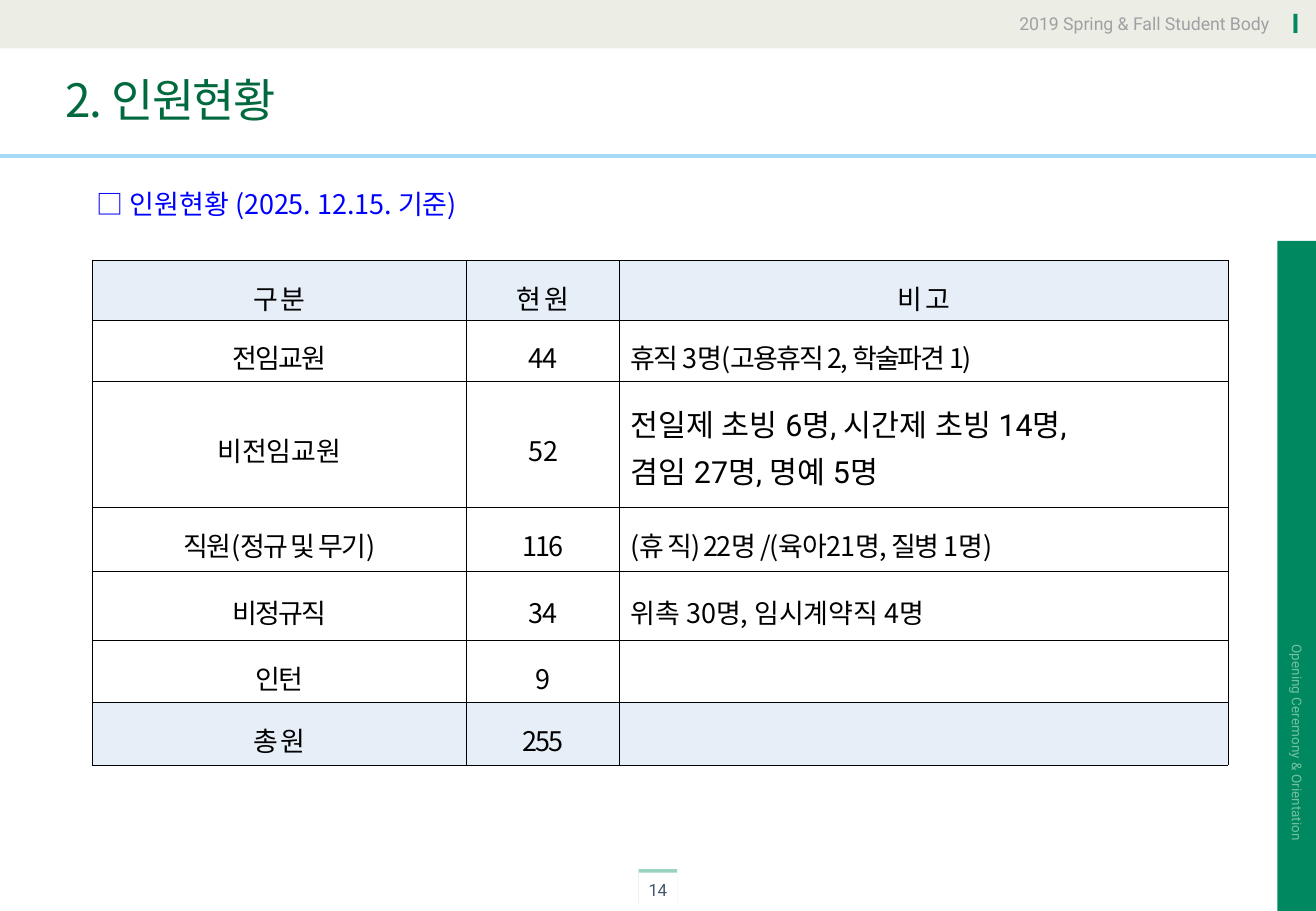
from lxml import etree
from pptx import Presentation
from pptx.dml.color import RGBColor
from pptx.enum.shapes import MSO_CONNECTOR, MSO_SHAPE
from pptx.enum.text import MSO_ANCHOR, PP_ALIGN
from pptx.oxml.ns import qn
from pptx.util import Emu, Pt

LEFT, CENTER, RIGHT = PP_ALIGN.LEFT, PP_ALIGN.CENTER, PP_ALIGN.RIGHT
TOP, MIDDLE = MSO_ANCHOR.TOP, MSO_ANCHOR.MIDDLE
RECTANGLE, STRAIGHT = MSO_SHAPE.RECTANGLE, MSO_CONNECTOR.STRAIGHT
EMU_PER_PX = 7620  # 120 px to the inch
TITLE_ONLY = 5
KOREAN, LATIN = "Noto Sans CJK KR", "Roboto"
GREEN, BLACK, SHADED = "008860", "000000", "E6EEF7"

HEADERS = ["구 분", "현 원", "비 고"]
COLUMN_WIDTHS = [370, 151, 601]
ROW_HEIGHTS = [59, 61, 124, 63, 69, 61, 62]
# Each cell: text and letter spacing in points
STAFF_ROWS = [
    [(header, -1) for header in HEADERS],
    [("전임교원", -1), ("44", -1), ("휴직 3명(고용휴직 2, 학술파견 1)", -1.2)],
    [("비전임교원", 0), ("52", 0),
     ("전일제 초빙 6명, 시간제 초빙 14명,\n겸임 27명, 명예 5명", 0)],
    [("직원(정규 및 무기)", -1), ("116", -1),
     ("(휴 직) 22명 /(육아21명, 질병 1명)", -1)],
    [("비정규직", -1), ("34", -1), ("위촉 30명, 임시계약직 4명", 0)],
    [("인턴", -1), ("9", 0), ("", 0)],
    [("총 원", -1), ("255", -1), ("", 0)],
]


def px(length):
    return Emu(length * EMU_PER_PX)


def color(hex_text):
    return RGBColor.from_string(hex_text)


def add_xml(parent, tag, **attributes):
    element = etree.SubElement(parent, qn(tag))
    for name, value in attributes.items():
        element.set(name, str(value))
    return element


class SlideBuilder:
    def __init__(self, deck):
        self.page = deck.slides.add_slide(deck.slide_layouts[TITLE_ONLY])
        self.shapes = self.page.shapes

    def fill_text(self, frame, text, size, ink, font=KOREAN, align=LEFT,
                  spacing=0, line_spacing=None, bold=False):
        """Fill a text frame, one paragraph per line of text."""
        frame.text = text
        for para in frame.paragraphs:
            para.alignment = align
            if line_spacing:
                para.line_spacing = line_spacing
            para.font.size = Pt(size)
            para.font.bold = bold
            para.font.name = font
            para.font.color.rgb = color(ink)
            defaults = para._p.pPr.find(qn("a:defRPr"))
            defaults.set("spc", str(round(spacing * 100)))
            add_xml(defaults, "a:ea", typeface=font)

    def frame_setup(self, frame, anchor, inset=(12, 6), wrap=False):
        frame.word_wrap = wrap
        frame.vertical_anchor = anchor
        frame.margin_left = frame.margin_right = px(inset[0])
        frame.margin_top = frame.margin_bottom = px(inset[1])

    def title(self, text, left, top, width, height):
        box = self.shapes.title
        box.left, box.top, box.width, box.height = map(px, (left, top, width, height))
        self.frame_setup(box.text_frame, MIDDLE, wrap=True)
        self.fill_text(box.text_frame, text, 27.2, "00693E", spacing=-0.9,
                       line_spacing=0.9)

    def rect(self, left, top, width, height, fill):
        box = self.shapes.add_shape(RECTANGLE, *map(px, (left, top, width, height)))
        box.shadow.inherit = False
        box.fill.solid()
        box.fill.fore_color.rgb = color(fill)
        box.line.fill.background()
        return box

    def text(self, text, left, top, width, height, size, ink, inset=(12, 6),
             anchor=TOP, rotation=0, wrap=False, **style):
        box = self.shapes.add_textbox(*map(px, (left, top, width, height)))
        box.rotation = rotation
        self.frame_setup(box.text_frame, anchor, inset, wrap)
        self.fill_text(box.text_frame, text, size, ink, **style)

    def rule(self, top, width, ink, weight):
        line = self.shapes.add_connector(STRAIGHT, 0, px(top), px(width), px(top))
        line.line.color.rgb = color(ink)
        line.line.width = Pt(weight)
        add_xml(line._element.spPr, "a:effectLst")

    def page_number(self, text, left, top, width, height):
        """White tab whose upward shadow shows as a thin green bar."""
        box = self.rect(left, top, width, height, "FFFFFF")
        effects = box._element.spPr.find(qn("a:effectLst"))
        shadow = add_xml(effects, "a:outerShdw", blurRad=0, dist=Pt(2),
                         dir=270 * 60000, algn="t", rotWithShape=0)
        tint = add_xml(shadow, "a:srgbClr", val="03945D")
        add_xml(tint, "a:alpha", val=40000)
        self.frame_setup(box.text_frame, MIDDLE, (10, 6))
        self.fill_text(box.text_frame, text, 10, "44546A", LATIN, CENTER, -0.2)

    def cell_borders(self, cell):
        properties = cell._tc.get_or_add_tcPr()
        for side in ("a:lnL", "a:lnR", "a:lnT", "a:lnB"):
            border = add_xml(properties, side, w=Pt(0.28))
            add_xml(add_xml(border, "a:solidFill"), "a:srgbClr", val=BLACK)

    def staff_table(self, left, top):
        frame = self.shapes.add_table(
            len(ROW_HEIGHTS), len(COLUMN_WIDTHS), px(left), px(top),
            px(sum(COLUMN_WIDTHS)), px(sum(ROW_HEIGHTS)))
        table = frame.table
        table.first_row = table.horz_banding = False
        for column, width in zip(table.columns, COLUMN_WIDTHS):
            column.width = px(width)
        last_row = len(STAFF_ROWS) - 1
        for r, (height, row) in enumerate(zip(ROW_HEIGHTS, STAFF_ROWS)):
            table.rows[r].height = px(height)
            for c, (text, spacing) in enumerate(row):
                cell = table.cell(r, c)
                self.cell_borders(cell)
                if r in (0, last_row):
                    cell.fill.solid()
                    cell.fill.fore_color.rgb = color(SHADED)
                else:
                    cell.fill.background()
                cell.vertical_anchor = MIDDLE
                cell.margin_left = cell.margin_right = px(11)
                cell.margin_top = cell.margin_bottom = px(6)
                if text:
                    size, font = (18, LATIN) if "\n" in text else (16, KOREAN)
                    align = LEFT if r and c == 2 else CENTER
                    self.fill_text(cell.text_frame, text, size, BLACK, font,
                                   align, spacing, 1.3)


def main():
    deck = Presentation()
    deck.slide_width, deck.slide_height = px(1300), px(900)
    slide = SlideBuilder(deck)

    slide.rect(0, 0, 1300, 48, "ECEEE5")
    slide.rule(154, 1300, "A6DAF6", 2.25)
    slide.rect(1262, 238, 38, 662, GREEN)
    slide.text("2019 Spring & Fall Student Body", 845, 13, 409, 22, 10.5, "9FA0A3",
               inset=(0, 0), wrap=True, font=LATIN, align=RIGHT)
    slide.page_number("14", 631, 862, 38, 34)
    slide.text("Opening Ceremony & Orientation", 1171, 718, 220, 29, 8, "74C09E",
               rotation=90, font=LATIN, align=RIGHT)
    slide.text("I", 1276, 6, 7, 32, 16, GREEN, inset=(0, 0), font=LATIN,
               align=CENTER, spacing=-2, bold=True)

    slide.title("2. 인원현황", 53, 66, 1200, 71)
    slide.staff_table(91, 257)
    slide.text("□ 인원현황 (2025. 12.15. 기준)", 84, 180, 421, 43, 16, "0000FF",
               anchor=MIDDLE)
    deck.save("out.pptx")


if __name__ == "__main__":
    main()
